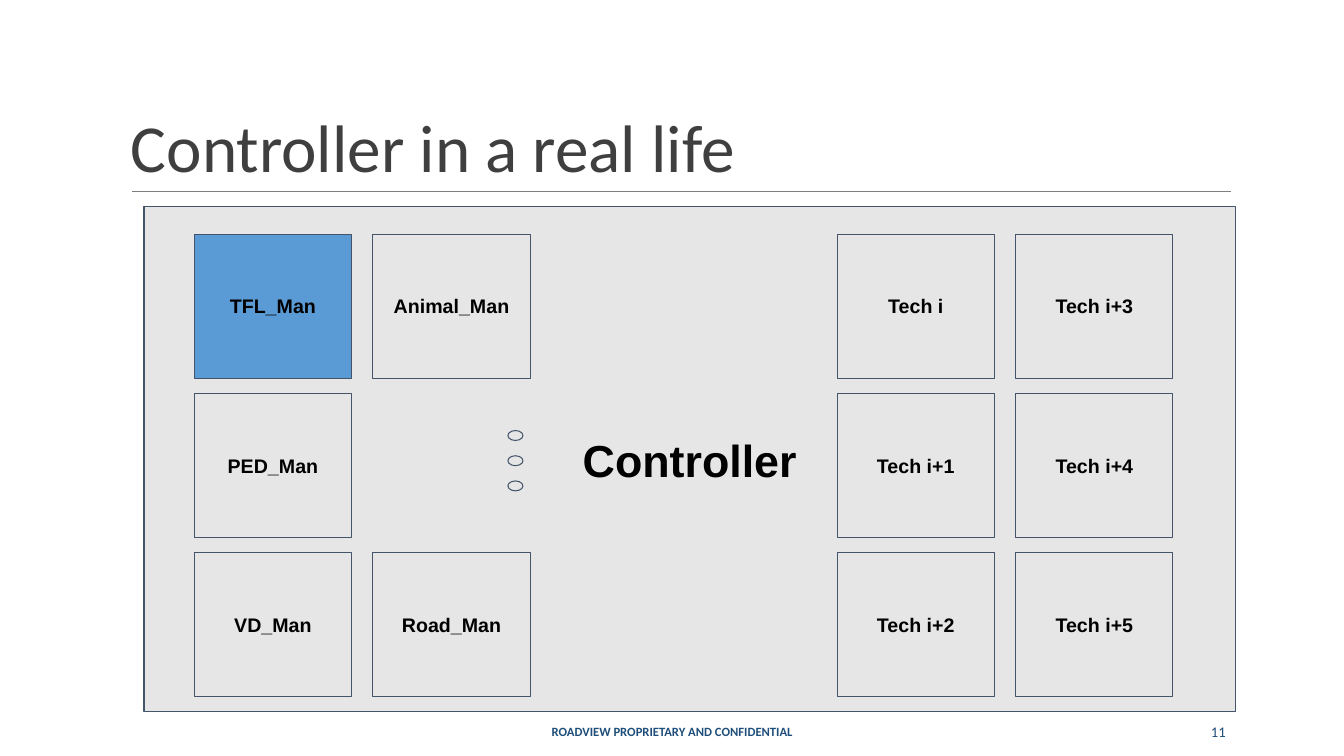
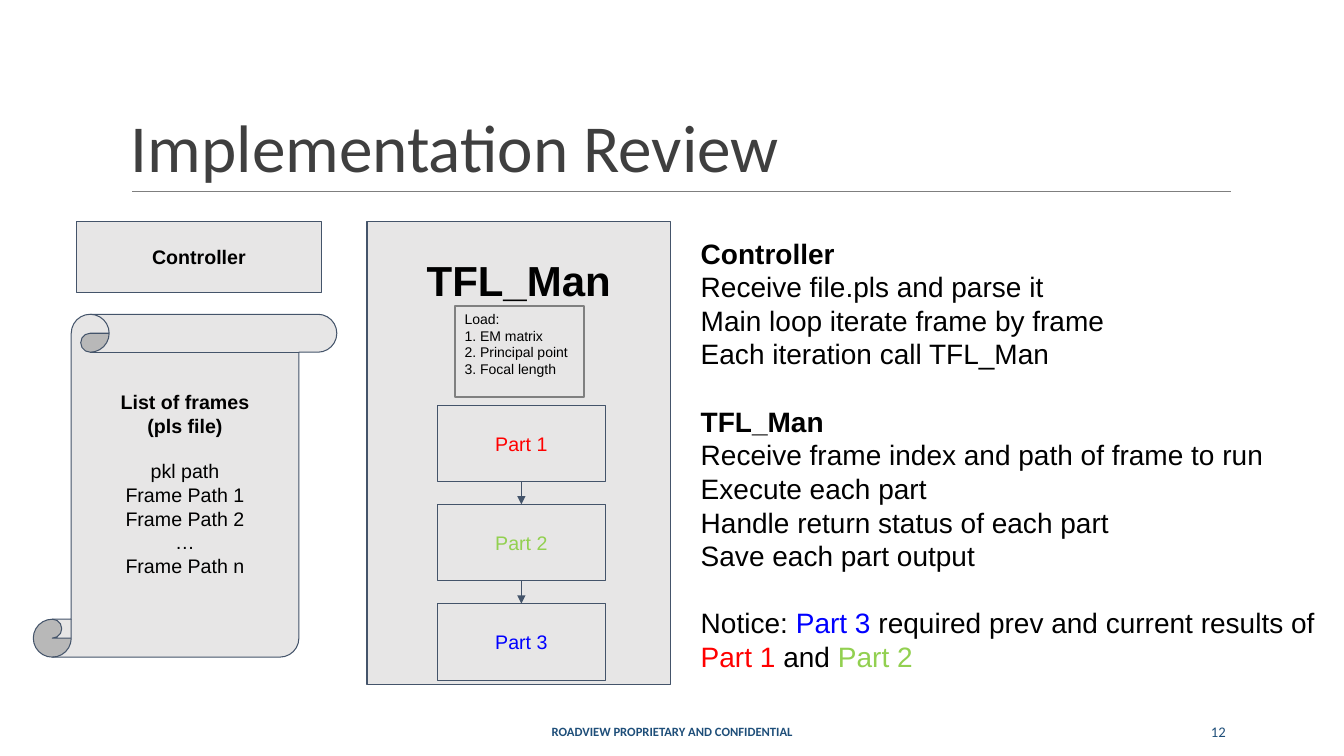
"""Build two slides on a frame controller and its parts."""
from itertools import pairwise

from lxml.etree import SubElement
from pptx import Presentation
from pptx.dml.color import RGBColor
from pptx.enum.shapes import MSO_CONNECTOR, MSO_SHAPE
from pptx.enum.text import MSO_ANCHOR, PP_ALIGN
from pptx.oxml.ns import qn
from pptx.util import Cm, Pt

BLACK = RGBColor(0x00, 0x00, 0x00)
GREY = RGBColor(0xE7, 0xE6, 0xE6)
SLATE = RGBColor(0x44, 0x54, 0x6A)
RULE = RGBColor(0x7F, 0x7F, 0x7F)
FRAME = RGBColor(0x80, 0x80, 0x80)
TITLE = RGBColor(0x3F, 0x3F, 0x3F)
NAVY = RGBColor(0x1E, 0x4E, 0x79)
BLUE = RGBColor(0x5B, 0x9B, 0xD5)
RED = RGBColor(0xFF, 0x00, 0x00)
GREEN = RGBColor(0x92, 0xD0, 0x50)
PURE = RGBColor(0x00, 0x00, 0xFF)
LEFT, RIGHT, MID = PP_ALIGN.LEFT, PP_ALIGN.RIGHT, PP_ALIGN.CENTER


def write(frame, text, size=14, bold=False, color=BLACK, font="Arial",
          align=MID, gap=0, join=False, pitch=None):
    for line in text.split("\n"):
        para = frame.paragraphs[-1]
        if para.runs and not join:
            para = frame.add_paragraph()
        para.alignment = align
        if gap:
            para.space_before = Pt(gap)
            gap = 0
        if pitch:
            para.line_spacing = pitch
        run = para.add_run()
        run.text = line
        run.font.name = font
        run.font.size = Pt(size)
        run.font.bold = bold
        run.font.color.rgb = color


def setup(frame, inset, anchor):
    frame.word_wrap = True
    frame.vertical_anchor = anchor
    left, top, right, base = inset
    frame.margin_left, frame.margin_top = Cm(left), Cm(top)
    frame.margin_right, frame.margin_bottom = Cm(right), Cm(base)
    return frame


class Deck:
    def __init__(self):
        self.file = Presentation()
        self.file.slide_width, self.file.slide_height = Cm(33.87), Cm(19.05)
        self.slide = None

    def page(self, title, number):
        self.slide = self.file.slides.add_slide(self.file.slide_layouts[6])
        self.line(color=RULE, ends=(3.33, 4.83, 31.01, 4.83))
        head = self.label(3.05, 0.79, 27.94, 4.04, anchor=MSO_ANCHOR.BOTTOM)
        write(head, title, size=48, color=TITLE, font="Calibri", align=LEFT,
              pitch=0.85)
        foot = self.label(10.24, 17.93, 13.39, 1.02)
        write(foot, "ROADVIEW PROPRIETARY AND CONFIDENTIAL", size=9,
              bold=True, color=NAVY, font="Calibri")
        folio = self.label(27.51, 17.93, 3.63, 1.02)
        write(folio, number, size=10.5, color=NAVY, font="Calibri",
              align=RIGHT)

    def label(self, x, y, w, h, inset=(0.25, 0.13, 0.25, 0.13),
              anchor=MSO_ANCHOR.MIDDLE):
        box = self.slide.shapes.add_textbox(Cm(x), Cm(y), Cm(w), Cm(h))
        return setup(box.text_frame, inset, anchor)

    def shape(self, x, y, w, h, kind=MSO_SHAPE.RECTANGLE, fill=GREY,
              edge=SLATE, width=0.75, inset=(0.25, 0.25, 0.25, 0.25),
              anchor=MSO_ANCHOR.MIDDLE):
        item = self.slide.shapes.add_shape(kind, Cm(x), Cm(y), Cm(w), Cm(h))
        item.shadow.inherit = False
        if fill is None:
            item.fill.background()
        else:
            item.fill.solid()
            item.fill.fore_color.rgb = fill
        item.line.color.rgb = edge
        item.line.width = Pt(width)
        setup(item.text_frame, inset, anchor)
        return item

    def box(self, text, *place, fill=GREY, **style):
        item = self.shape(*place, fill=fill)
        write(item.text_frame, text, **style)
        return item

    def line(self, color=SLATE, ends=(0, 0, 0, 0)):
        item = self.slide.shapes.add_connector(
            MSO_CONNECTOR.STRAIGHT, *(Cm(end) for end in ends))
        item.line.color.rgb = color
        item.line.width = Pt(0.75)
        SubElement(item._element.spPr, qn("a:effectLst"))
        return item

    def arrow(self, start, end):
        item = self.line()
        item.begin_connect(start, 2)
        item.end_connect(end, 0)
        SubElement(item.line._get_or_add_ln(), qn("a:tailEnd"),
                   type="triangle")


def draw_tasks(deck):
    deck.page("Controller in a real life", "11")
    deck.box("Controller", 3.63, 5.21, 27.51, 12.73, size=32, bold=True)
    grid = {4.9: ("TFL_Man", "PED_Man", "VD_Man"),
            9.4: ("Animal_Man", None, "Road_Man"),
            21.1: ("Tech i", "Tech i+1", "Tech i+2"),
            25.6: ("Tech i+3", "Tech i+4", "Tech i+5")}
    for x, names in grid.items():
        for row, name in enumerate(names):
            if name:
                fill = BLUE if name == "TFL_Man" else GREY
                deck.box(name, x, 5.9 + 4.01 * row, 3.96, 3.63, fill=fill,
                         bold=True)
    for dot in range(3):
        deck.shape(12.8, 10.85 + 0.635 * dot, 0.38, 0.25, MSO_SHAPE.OVAL)


def draw_flow(deck):
    deck.page("Implementation Review", "12")
    panel = deck.shape(9.25, 5.59, 7.65, 11.66, anchor=MSO_ANCHOR.TOP,
                       inset=(0.25, 0.82, 0.25, 0.25))
    write(panel.text_frame, "TFL_Man", size=30, bold=True)
    parts = [deck.box(f"Part {step + 1}", 11.02, 10.21 + 2.5 * step,
                      4.24, 1.93, color=color)
             for step, color in enumerate((RED, GREEN, PURE))]
    for start, end in pairwise(parts):
        deck.arrow(start, end)

    scroll = deck.shape(0.84, 7.92, 7.65, 8.64, MSO_SHAPE.VERTICAL_SCROLL,
                        inset=(0.25, 0.25, 0.25, 0.84)).text_frame
    write(scroll, "List of frames\n(pls file)", bold=True)
    write(scroll, "pkl path\nFrame Path 1\nFrame Path 2\n…\nFrame Path n",
          gap=16)
    deck.box("Controller", 1.93, 5.59, 6.17, 1.78, bold=True)

    load = deck.shape(11.46, 7.72, 3.25, 2.29, fill=None, edge=FRAME,
                      width=1.5, inset=(0.25, 0.1, 0.25, 0.1),
                      anchor=MSO_ANCHOR.TOP)
    write(load.text_frame,
          "Load:\n1. EM matrix\n2. Principal point\n3. Focal length",
          size=10, align=LEFT)

    notes = deck.label(17.02, 5.82, 16.84, 11.38, anchor=MSO_ANCHOR.TOP,
                       inset=(0.64, 0.13, 0.25, 0.13))
    style = {"size": 20, "align": LEFT}
    write(notes, "Controller", bold=True, **style)
    write(notes, "Receive file.pls and parse it\n"
          "Main loop iterate frame by frame\n"
          "Each iteration call TFL_Man", **style)
    write(notes, "TFL_Man", bold=True, gap=24, **style)
    write(notes, "Receive frame index and path of frame to run\n"
          "Execute each part\n"
          "Handle return status of each part\n"
          "Save each part output", **style)
    write(notes, "Notice: ", gap=24, **style)
    for text, color in (("Part 3", PURE),
                        (" required prev and current results of", BLACK),
                        (" Part 1", RED), (" and ", BLACK),
                        ("Part 2", GREEN)):
        write(notes, text, color=color, join=True, **style)


def main():
    deck = Deck()
    draw_tasks(deck)
    draw_flow(deck)
    deck.file.save("out.pptx")


if __name__ == "__main__":
    main()
